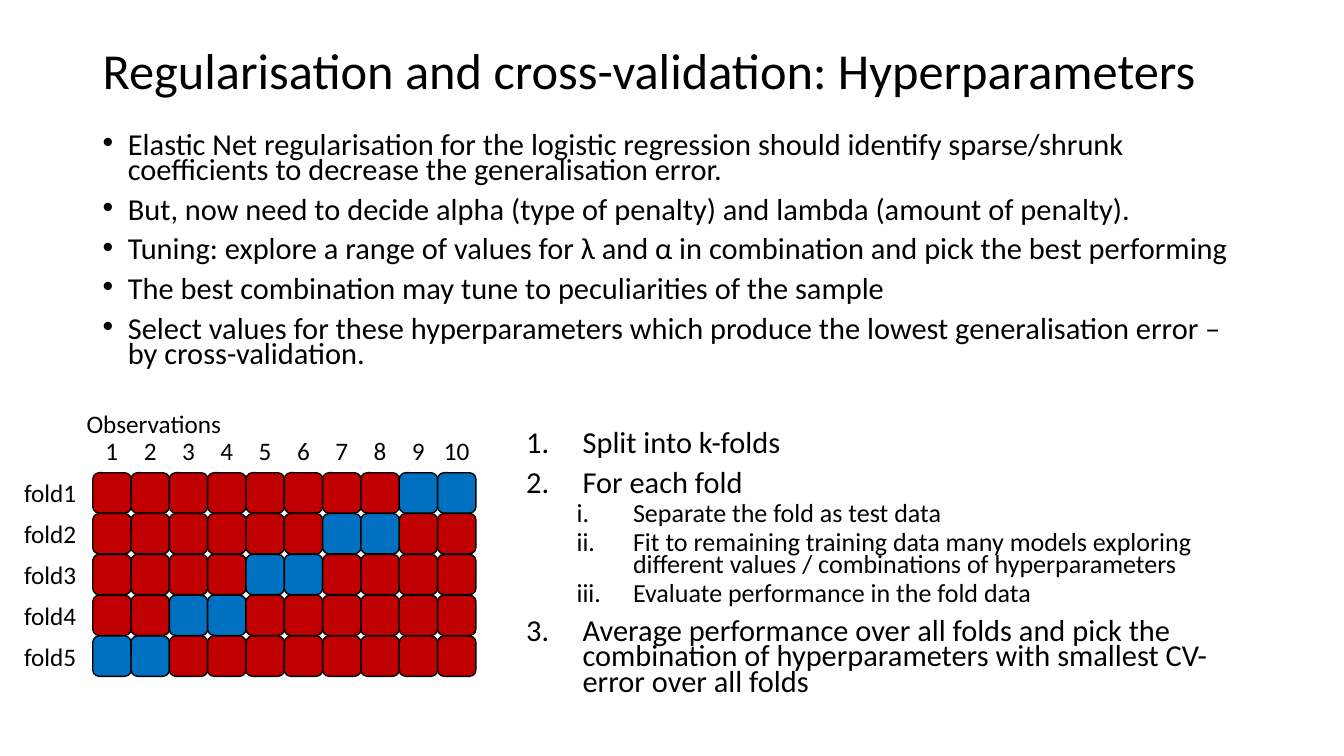
import pptx
import pptx.util
import pptx.dml.color
import pptx.enum.shapes
import pptx.enum.text
import lxml.etree
from pptx.oxml.ns import qn

Inches = pptx.util.Inches
Pt = pptx.util.Pt
RGB = pptx.dml.color.RGBColor
ALIGN = pptx.enum.text.PP_ALIGN

BLACK = RGB(0, 0, 0)
TRAIN = RGB(0xC0, 0, 0)
TEST = RGB(0, 0x70, 0xC0)
FONT = "Calibri"

# Fold grid: 5 folds of 10 observations, 2 held out in each
FOLDS, OBS, HELD = 5, 10, 2
LEFT, TOP = 0.92, 4.69
WIDE, HIGH = 0.38, 0.4
ROW = 0.405

POINTS = [
    "Elastic Net regularisation for the logistic regression should identify "
    "sparse/shrunk coefficients to decrease the generalisation error.",
    "But, now need to decide alpha (type of penalty) and lambda (amount of penalty).",
    "Tuning: explore a range of values for λ and α in combination and pick the best performing",
    "The best combination may tune to peculiarities of the sample",
    "Select values for these hyperparameters which produce the lowest "
    "generalisation error – by cross-validation.",
]
STEPS = [
    (0, "Split into k-folds"),
    (0, "For each fold"),
    (1, "Separate the fold as test data"),
    (1, "Fit to remaining training data many models exploring different "
        "values / combinations of hyperparameters"),
    (1, "Evaluate performance in the fold data"),
    (0, "Average performance over all folds and pick the combination of "
        "hyperparameters with smallest CV-error over all folds"),
]


def add_box(slide, left, top, width, height, wrap=True):
    box = slide.shapes.add_textbox(
        Inches(left), Inches(top), Inches(width), Inches(height))
    box.text_frame.word_wrap = wrap
    return box.text_frame


def add_run(para, text, size):
    run = para.add_run()
    run.text = text
    run.font.name = FONT
    run.font.size = Pt(size)
    run.font.color.rgb = BLACK


def add_mark(para, indent, hang, tag, **attrs):
    """Give a paragraph a hanging indent and a bullet or number."""
    props = para._p.get_or_add_pPr()
    props.set("marL", str(Inches(indent)))
    props.set("indent", str(-Inches(hang)))
    face = lxml.etree.SubElement(props, qn("a:buFont"))
    face.set("typeface", "Arial" if tag == "a:buChar" else "+mj-lt")
    mark = lxml.etree.SubElement(props, qn(tag))
    for name, value in attrs.items():
        mark.set(name, value)


def add_item(frame, index, text, size, gap, level=0):
    para = frame.add_paragraph() if index else frame.paragraphs[0]
    para.level = level
    para.line_spacing = 0.7
    para.space_before = Pt(gap if index else 0)
    add_run(para, text, size)
    return para


def add_label(slide, text, left, top, width, align=ALIGN.LEFT):
    para = add_box(slide, left, top, width, HIGH, wrap=False).paragraphs[0]
    para.alignment = align
    add_run(para, text, 18)


def add_cell(slide, left, top, fill):
    cell = slide.shapes.add_shape(
        pptx.enum.shapes.MSO_SHAPE.ROUNDED_RECTANGLE,
        Inches(left), Inches(top), Inches(WIDE), Inches(HIGH))
    cell.shadow.inherit = False
    cell.fill.solid()
    cell.fill.fore_color.rgb = fill
    cell.line.color.rgb = BLACK
    cell.line.width = Pt(1)


def add_title(slide, text):
    frame = add_box(slide, 0.92, 0, 11.5, 1.45)
    frame.vertical_anchor = pptx.enum.text.MSO_ANCHOR.MIDDLE
    frame.paragraphs[0].line_spacing = 0.9
    add_run(frame.paragraphs[0], text, 36)


def add_points(slide):
    frame = add_box(slide, 0.92, 1.29, 11.5, 2.66)
    for index, text in enumerate(POINTS):
        para = add_item(frame, index, text, 21.7, 10)
        add_mark(para, 0.25, 0.25, "a:buChar", char="•")


def add_steps(slide):
    frame = add_box(slide, 5.12, 4.25, 7.35, 2.9)
    for index, (level, text) in enumerate(STEPS):
        size, gap, style = ((21.7, 10, "arabicPeriod"),
                            (18.6, 5, "romanLcPeriod"))[level]
        para = add_item(frame, index, text, size, gap, level)
        add_mark(para, 0.56 + 0.5 * level, 0.56, "a:buAutoNum", type=style)


def add_grid(slide):
    for fold in range(FOLDS):
        top = TOP + ROW * fold
        # The held-out pair moves left from fold to fold
        start = OBS - HELD * (fold + 1)
        for col in range(OBS):
            held = start <= col < start + HELD
            add_cell(slide, LEFT + WIDE * col, top, TEST if held else TRAIN)
        add_label(slide, f"fold{fold + 1}", 0.14, top, 0.73)
    for col in range(OBS):
        add_label(slide, str(col + 1), 0.88 + WIDE * col, 4.27, 0.46, ALIGN.CENTER)
    add_label(slide, "Observations", 0.76, 4, 1.55)


def main():
    deck = pptx.Presentation()
    deck.slide_width = Inches(13.33)
    deck.slide_height = Inches(7.5)
    slide = deck.slides.add_slide(deck.slide_layouts[6])
    add_title(slide, "Regularisation and cross-validation: Hyperparameters")
    add_points(slide)
    add_steps(slide)
    add_grid(slide)
    deck.save("out.pptx")


if __name__ == "__main__":
    main()
